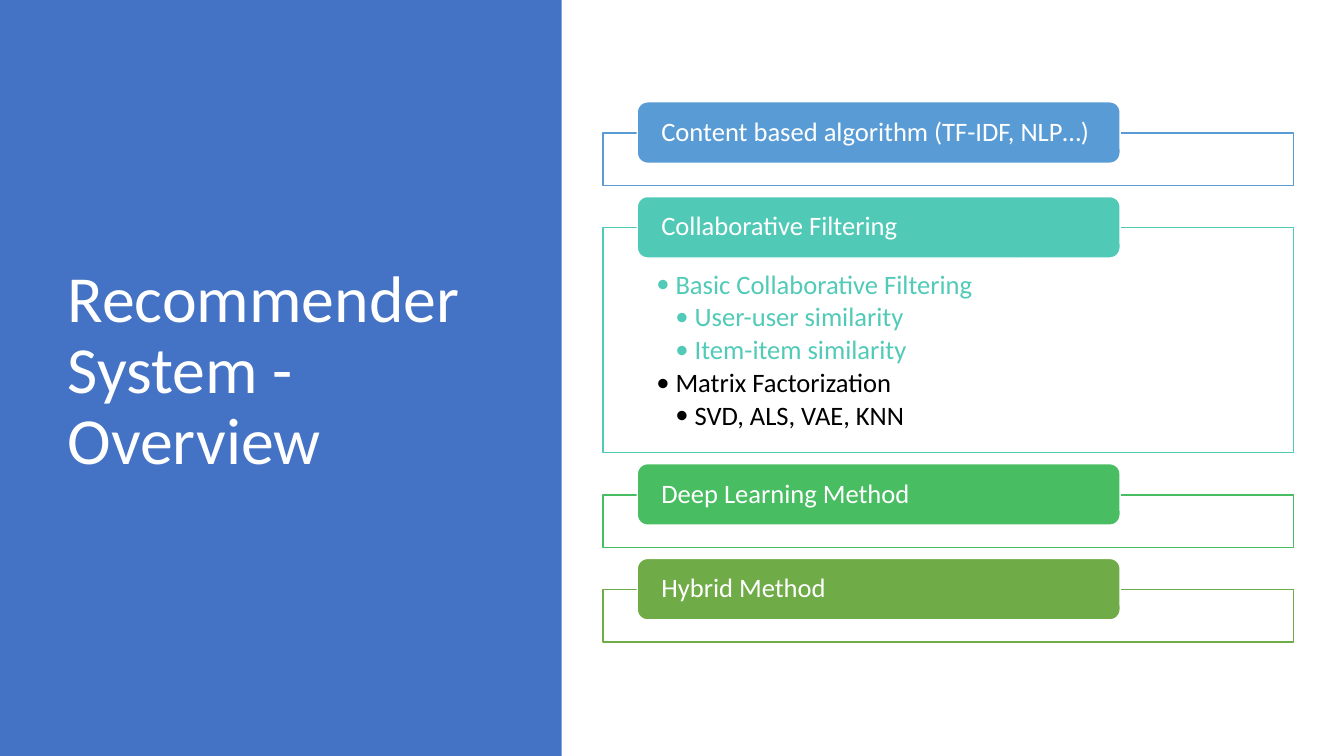
"""Build the recommender system overview slide."""
from lxml.etree import SubElement
from pptx import Presentation
from pptx.dml.color import RGBColor
from pptx.enum.shapes import MSO_SHAPE as Shape
from pptx.enum.text import MSO_ANCHOR as Anchor, MSO_AUTO_SIZE as AutoSize, PP_ALIGN as Align
from pptx.oxml.ns import qn
from pptx.util import Pt

PX = 9144
COLORS = {
    "panel": "4472C4", "white": "FFFFFF", "black": "000000", "blue": "599BD5",
    "teal": "50C9B6", "highlight": "52CAB8", "green": "48BD62", "olive": "6FAB46",
}
SECTIONS = [
    ("Content based algorithm (TF-IDF, NLP…)", "blue", 52),
    ("Collaborative Filtering", "teal", 223),
    ("Deep Learning Method", "green", 52),
    ("Hybrid Method", "olive", 52),
]
TOPICS = [
    ("Basic Collaborative Filtering", 1, "highlight"),
    ("User-user similarity", 2, "highlight"),
    ("Item-item similarity", 2, "highlight"),
    ("Matrix Factorization", 1, "black"),
    ("SVD, ALS, VAE, KNN", 2, "black"),
]
FIRST_TOP, SECTION_GAP = 132, 42
FRAME_LEFT, FRAME_WIDTH = 598, 685
TAB_LEFT, TAB_WIDTH, TAB_HEIGHT, TAB_RISE = 632, 479, 61, 31
BULLET_INDENT = 19


def color(name):
    """Return the named palette colour."""
    return RGBColor.from_string(COLORS[name])


def place(shape, left, top, width, height):
    """Move and size a shape in px."""
    shape.left, shape.top = left * PX, top * PX
    shape.width, shape.height = width * PX, height * PX


def set_frame(shape, insets, anchor):
    """Set the text insets in px and the vertical anchor."""
    frame = shape.text_frame
    frame.word_wrap = True
    frame.auto_size = AutoSize.NONE
    frame.vertical_anchor = anchor
    frame.margin_left, frame.margin_top, frame.margin_right, frame.margin_bottom = (
        inset * PX for inset in insets)
    return frame


def write(paragraph, text, size=19, ink="white", before=0):
    """Write one formatted run into a paragraph."""
    paragraph.alignment = Align.LEFT
    paragraph.line_spacing = 0.9
    paragraph.space_before = Pt(before)
    paragraph.space_after = Pt(0)
    run = paragraph.add_run()
    run.text = text
    run.font.name = "Calibri"
    run.font.size = Pt(size)
    run.font.color.rgb = color(ink)


def add_bullet(paragraph, level, ink):
    """Give a paragraph a coloured bullet and a hanging indent."""
    paragraph.level = level
    properties = paragraph._p.get_or_add_pPr()
    properties.set("marL", str(level * BULLET_INDENT * PX))
    properties.set("indent", str(-BULLET_INDENT * PX))
    bullet_color = SubElement(properties, qn("a:buClr"))
    SubElement(bullet_color, qn("a:srgbClr"), val=COLORS[ink])
    SubElement(properties, qn("a:buFont"), typeface="Calibri")
    SubElement(properties, qn("a:buChar"), char="•")


def add_box(slide, kind, bounds, fill, line=None, opacity=100):
    """Add a filled preset shape with an optional outline."""
    shape = slide.shapes.add_shape(kind, 0, 0, 0, 0)
    place(shape, *bounds)
    shape.shadow.inherit = False
    shape.fill.solid()
    shape.fill.fore_color.rgb = color(fill)
    if opacity < 100:
        fill_color = shape._element.spPr.find(qn("a:solidFill"))[0]
        SubElement(fill_color, qn("a:alpha"), val=str(opacity * 1000))
    if line:
        shape.line.color.rgb = color(line)
        shape.line.width = Pt(1)
    else:
        shape.line.fill.background()
    return shape


def bring_to_front(slide, shape):
    """Draw a shape above everything added so far."""
    slide.shapes._spTree.append(shape._element)


def fill_title(slide):
    """Fill the title placeholder on the side panel."""
    title = slide.shapes.title
    bring_to_front(slide, title)
    place(title, 57, 68, 416, 602)
    frame = set_frame(title, (10, 5, 10, 5), Anchor.MIDDLE)
    write(frame.paragraphs[0], "Recommender System - Overview", size=47)


def fill_topics(slide, bounds):
    """Fill the body placeholder with the bulleted topics."""
    body = slide.placeholders[1]
    bring_to_front(slide, body)
    place(body, *bounds)
    frame = set_frame(body, (53, 43, 53, 15), Anchor.TOP)
    for index, (text, level, ink) in enumerate(TOPICS):
        paragraph = frame.add_paragraph() if index else frame.paragraphs[0]
        write(paragraph, text, ink=ink, before=2.9 if index else 0)
        add_bullet(paragraph, level, ink)


def add_section(slide, top, heading, accent, height):
    """Add an outlined frame with its heading tab."""
    bounds = (FRAME_LEFT, top, FRAME_WIDTH, height)
    add_box(slide, Shape.RECTANGLE, bounds, "white", line=accent, opacity=90)
    if accent == "teal":
        fill_topics(slide, bounds)
    tab = add_box(slide, Shape.ROUNDED_RECTANGLE,
                  (TAB_LEFT, top - TAB_RISE, TAB_WIDTH, TAB_HEIGHT), accent, line="white")
    frame = set_frame(tab, (21, 0, 21, 0), Anchor.MIDDLE)
    write(frame.paragraphs[0], heading)


def main():
    """Build and save the presentation."""
    presentation = Presentation()
    presentation.slide_width, presentation.slide_height = 1333 * PX, 750 * PX
    slide = presentation.slides.add_slide(presentation.slide_layouts[1])
    add_box(slide, Shape.RECTANGLE, (0, 0, 557, 750), "panel")
    fill_title(slide)
    top = FIRST_TOP
    for heading, accent, height in SECTIONS:
        add_section(slide, top, heading, accent, height)
        top += height + SECTION_GAP
    presentation.save("out.pptx")


if __name__ == "__main__":
    main()
